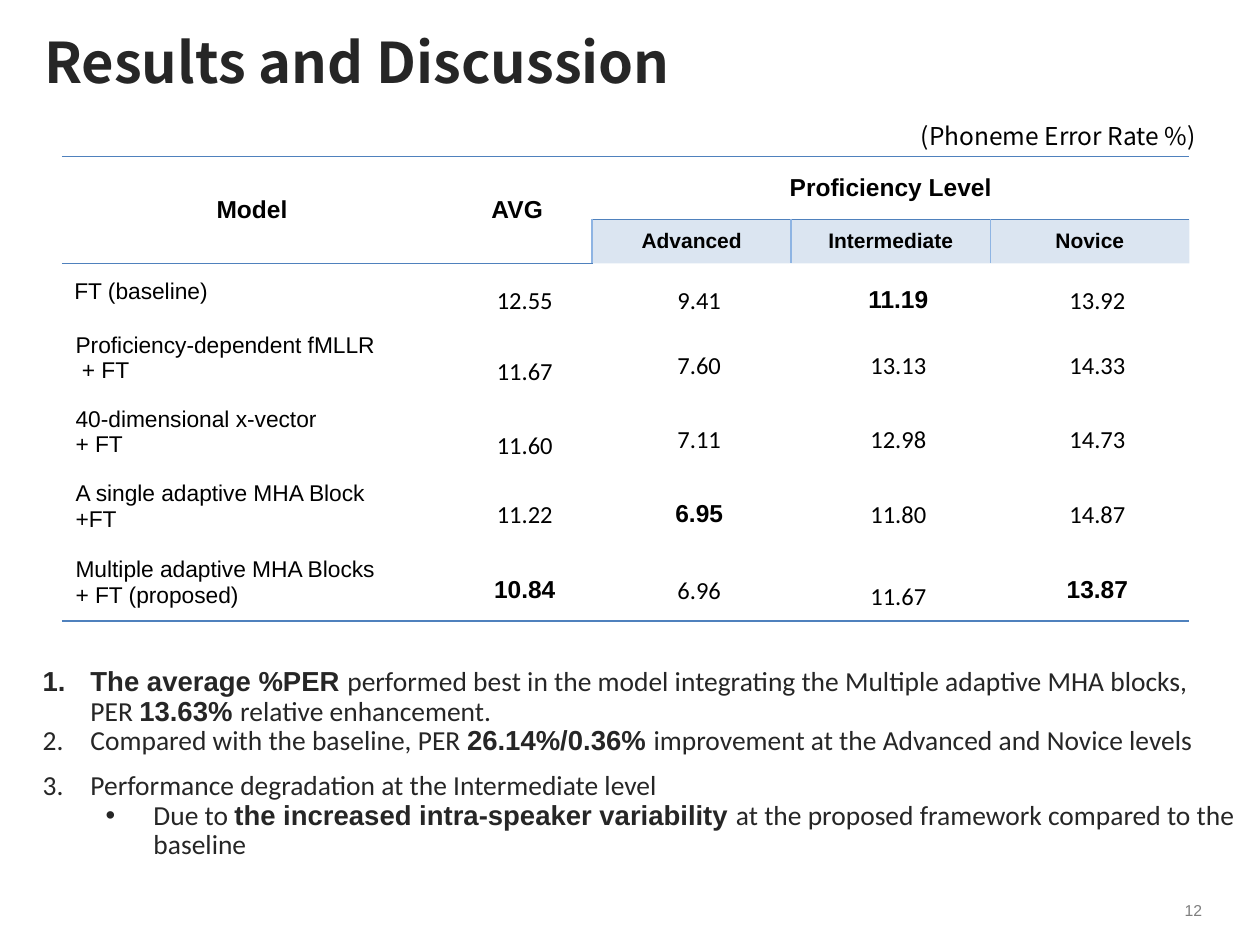
from lxml import etree
from pptx import Presentation
from pptx.dml.color import RGBColor
from pptx.enum import text
from pptx.oxml import ns
from pptx.util import Inches, Pt

COLORS = {"ink": "262626", "black": "000000", "grey": "7F7F7F",
          "line": "4F81BD", "divider": "8EB4E3"}
SANS, BODY, HEAD = "Arial", "Calibri", "Noto Sans CJK KR"
NO_STYLE = "{2D5ABB26-0587-4C30-8999-92F81FD0307C}"

COL_WIDTHS = [3.02, 1.19, 1.58, 1.58, 1.58]
ROW_HEIGHTS = [0.5, 0.35, 0.45, 0.59, 0.59, 0.59, 0.62]
LEVELS = ["Advanced", "Intermediate", "Novice"]
RESULTS = [
    ("FT (baseline)", "12.55", "9.41", "11.19", "13.92"),
    ("Proficiency-dependent fMLLR\n+ FT", "11.67", "7.60", "13.13", "14.33"),
    ("40-dimensional x-vector\v+ FT", "11.60", "7.11", "12.98", "14.73"),
    ("A single adaptive MHA Block\v+FT", "11.22", "6.95", "11.80", "14.87"),
    ("Multiple adaptive MHA Blocks\v+ FT (proposed)",
     "10.84", "6.96", "11.67", "13.87"),
]
BEST = {"11.19", "6.95", "10.84", "13.87"}
DOUBLE_SPACED = {"11.67", "11.60"}

# Each finding: left margin, line spacing, and (text, is key phrase) runs
FINDINGS = [
    (0.54, 0.9, [
        ("The average %PER ", True),
        ("performed best in the model integrating the Multiple adaptive "
         "MHA blocks, PER ", False),
        ("13.63% ", True), ("relative enhancement.", False)]),
    (0.54, 0.9, [
        ("Compared with the baseline, PER ", False),
        ("26.14%/0.36% ", True),
        ("improvement at the Advanced and Novice levels", False)]),
    (0.54, Pt(25.4), [
        ("Performance degradation at the Intermediate level", False)]),
    (1.04, 0.9, [
        ("Due to ", False),
        ("the increased intra-speaker variability ", True),
        ("at the proposed framework compared to the baseline", False)]),
]


def style(run, size, font, color="black", bold=False):
    f = run.font
    f.size, f.name, f.bold = Pt(size), font, bold
    f.color.rgb = RGBColor.from_string(COLORS[color])


def style_all(tf, *args, align=None):
    for p in tf.paragraphs:
        p.alignment = align
        for r in p.runs:
            style(r, *args)


def sub(parent, tag, **attrs):
    return etree.SubElement(parent, ns.qn(tag), attrs)


def set_indent(p, left, first):
    pPr = p._p.get_or_add_pPr()
    pPr.set("marL", str(Inches(left)))
    pPr.set("indent", str(Inches(first)))
    return pPr


def set_borders(cell, **sides):
    """Draw 1 pt borders; sides are given as L, R, T or B with a colour name."""
    tcPr = cell._tc.get_or_add_tcPr()
    ordered = [s for s in "LRTB" if s in sides]
    for i, side in enumerate(ordered):
        ln = sub(tcPr, "a:ln" + side, w=str(Pt(1)))
        sub(sub(ln, "a:solidFill"), "a:srgbClr", val=COLORS[sides[side]])
        tcPr.insert(i, ln)


def tint(cell):
    cell.fill.solid()
    cell.fill.fore_color.rgb = RGBColor.from_string(COLORS["line"])
    clr = cell._tc.tcPr.find(".//" + ns.qn("a:srgbClr"))
    sub(clr, "a:alpha", val="20000")


def add_title(s, x, y, w, h):
    sp = s.shapes.title
    sp.left, sp.top, sp.width, sp.height = map(Inches, (x, y, w, h))
    tf = sp.text_frame
    tf.margin_left, tf.margin_top = Inches(0.35), Inches(0.22)
    tf.margin_right, tf.margin_bottom = Inches(0.04), Inches(0.05)
    tf.auto_size = text.MSO_AUTO_SIZE.NONE
    tf.vertical_anchor = text.MSO_ANCHOR.TOP
    tf.text = "Results and Discussion"
    style_all(tf, 32, HEAD, "ink", True, align=text.PP_ALIGN.LEFT)


def add_label(s, x, y, w, h, words, size, font, color, align):
    tf = s.shapes.add_textbox(*map(Inches, (x, y, w, h))).text_frame
    tf.text = words
    style_all(tf, size, font, color, align=align)
    return tf


def fill_header(table):
    for col in (0, 1):
        table.cell(0, col).merge(table.cell(1, col))
        set_borders(table.cell(1, col), B="line")
    table.cell(0, 2).merge(table.cell(0, 4))
    for col in range(5):
        set_borders(table.cell(0, col), T="line", B="line")
    heads = [(0, 0, "Model"), (0, 1, "AVG"), (0, 2, "Proficiency Level")]
    heads += [(1, col, level) for col, level in enumerate(LEVELS, 2)]
    for row, col, words in heads:
        cell = table.cell(row, col)
        cell.text = words
        style_all(cell.text_frame, 12 if row else 14, SANS, "black", True,
                  align=text.PP_ALIGN.CENTER)
    for col in (2, 3, 4):
        tint(table.cell(1, col))
    for col in (2, 3):
        set_borders(table.cell(1, col), L="divider")


def fill_model(cell, name):
    cell.text = name
    if len(name.split()) > 2:
        cell.margin_left = Inches(0.11)
        cell.margin_right = cell.margin_top = Inches(0.01)
        cell.margin_bottom = 0
    style_all(cell.text_frame, 13, SANS)
    for p in cell.text_frame.paragraphs[1:]:
        set_indent(p, 0.05, 0)


def fill_rate(cell, rate):
    cell.text = rate
    cell.margin_left = cell.margin_right = Inches(0.07)
    cell.margin_top = cell.margin_bottom = 0
    best = rate in BEST
    style_all(cell.text_frame, 14, SANS if best else BODY, "black", best,
              align=text.PP_ALIGN.CENTER)
    p = cell.text_frame.paragraphs[0]
    set_indent(p, 0, 0.12)
    p.line_spacing = 2.0 if rate in DOUBLE_SPACED else 1.6
    p.space_after = Pt(6)


def add_results(s, x, y, w, h):
    frame = s.shapes.add_table(len(ROW_HEIGHTS), len(COL_WIDTHS),
                               *map(Inches, (x, y, w, h)))
    table = frame.table
    table.first_row = table.horz_banding = False
    table._tbl.tblPr.find(ns.qn("a:tableStyleId")).text = NO_STYLE
    for col, width in zip(table.columns, COL_WIDTHS):
        col.width = Inches(width)
    for row, height in zip(table.rows, ROW_HEIGHTS):
        row.height = Inches(height)
    for cell in table.iter_cells():
        cell.fill.background()
        cell.vertical_anchor = text.MSO_ANCHOR.MIDDLE
    fill_header(table)
    for row, (name, *rates) in enumerate(RESULTS, 2):
        fill_model(table.cell(row, 0), name)
        for col, rate in enumerate(rates, 1):
            fill_rate(table.cell(row, col), rate)
    for col in range(len(COL_WIDTHS)):
        set_borders(table.cell(len(RESULTS) + 1, col), B="line")


def add_findings(s, x, y, w, h):
    tf = s.shapes.add_textbox(*map(Inches, (x, y, w, h))).text_frame
    tf.word_wrap = True
    for i, (left, spacing, runs) in enumerate(FINDINGS):
        p = tf.add_paragraph() if i else tf.paragraphs[0]
        p.line_spacing = spacing
        pPr = set_indent(p, left, -0.38)
        sub(sub(pPr, "a:buClr"), "a:srgbClr", val=COLORS["ink"])
        if left > 1:
            p.level = 1
            sub(pPr, "a:buFont", typeface=SANS)
            sub(pPr, "a:buChar", char="•")
        else:
            sub(pPr, "a:buAutoNum", type="arabicPeriod")
        for words, key in runs:
            r = p.add_run()
            r.text = words
            style(r, 15.7, SANS if key else BODY, "ink", key)


def main():
    prs = Presentation()
    prs.slide_width, prs.slide_height = Inches(10), Inches(7.5)
    s = prs.slides.add_slide(prs.slide_layouts[5])
    add_title(s, 0, 0, 8.43, 0.91)
    add_label(s, 7.16, 0.91, 2.48, 0.34, "(Phoneme Error Rate %)",
              14, HEAD, "black", text.PP_ALIGN.CENTER)
    add_results(s, 0.49, 1.24, 8.95, 3.67)
    number = add_label(s, 7.31, 7.07, 2.33, 0.31, "12",
                       9, SANS, "grey", text.PP_ALIGN.RIGHT)
    number.word_wrap = True
    number.vertical_anchor = text.MSO_ANCHOR.MIDDLE
    add_findings(s, 0.08, 5.25, 9.83, 1.91)
    prs.save("out.pptx")


if __name__ == "__main__":
    main()
